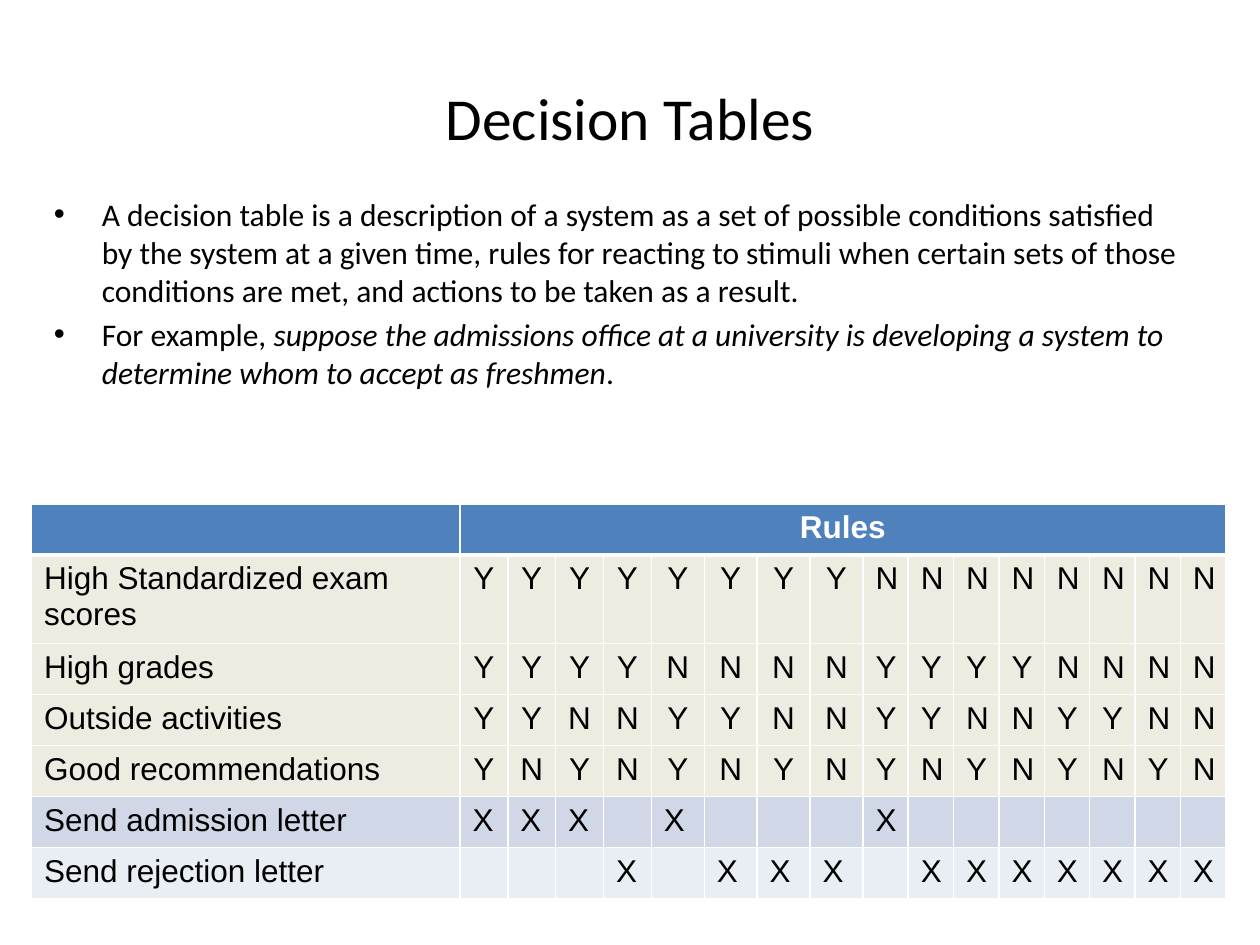
from itertools import product

from lxml import etree
from pptx import Presentation
from pptx.dml.color import RGBColor
from pptx.enum.text import MSO_ANCHOR, PP_ALIGN
from pptx.oxml.ns import qn
from pptx.util import Inches, Pt

CENTER, LEFT, MIDDLE = PP_ALIGN.CENTER, PP_ALIGN.LEFT, MSO_ANCHOR.MIDDLE
UNIT = Inches(0.1)
COLS, ROWS = 100, 75
WHITE, BLACK, BLUE, SAND = "FFFFFF", "000000", "4F81BD", "EEECE1"
TERMS = ["High Standardized exam scores", "High grades",
         "Outside activities", "Good recommendations"]
POINTS = [
    [("A decision table is a description of a system as a set of possible conditions "
      "satisfied by the system at a given time, rules for reacting to stimuli when "
      "certain sets of those conditions are met, and actions to be taken as a result.", False)],
    [("For example, ", False),
     ("suppose the admissions office at a university is developing a system to "
      "determine whom to accept as freshmen", True),
     (".", False)],
]


def paint(color):
    """Return the colour of a hex string."""
    return RGBColor.from_string(color)


def span(*sizes):
    """Turn grid units into lengths."""
    return [int(size * UNIT) for size in sizes]


def write(para, text, font="Calibri", size=18, color=BLACK, bold=False,
          italic=False, align=LEFT):
    """Add one formatted run to a paragraph."""
    para.alignment = align
    run = para.add_run()
    run.text = text
    style = run.font
    style.name, style.size, style.bold, style.italic = font, Pt(size), bold, italic
    style.color.rgb = paint(color)


def frame(slide, box):
    """Add a wrapping text box and return its text frame."""
    text = slide.shapes.add_textbox(*span(*box)).text_frame
    text.word_wrap = True
    return text


def title(slide, box):
    """Place the centred heading."""
    text = frame(slide, box)
    text.vertical_anchor = MIDDLE
    write(text.paragraphs[0], "Decision Tables", size=34, align=CENTER)


def bullets(slide, box):
    """Place the bulleted points."""
    text = frame(slide, box)
    for i, parts in enumerate(POINTS):
        para = text.add_paragraph() if i else text.paragraphs[0]
        para.space_before = Pt(3.6)
        for words, italic in parts:
            write(para, words, italic=italic)
        props = para._p.get_or_add_pPr()
        indent = Inches(0.38)
        props.set("marL", str(indent))
        props.set("indent", str(-indent))
        etree.SubElement(props, qn("a:buFont"), typeface="Arial")
        etree.SubElement(props, qn("a:buChar"), char="•")


def edge(cell, top, base):
    """Draw white borders around a cell."""
    props = cell._tc.get_or_add_tcPr()
    for side, width in zip("LRTB", (1, 1, top, base)):
        line = etree.SubElement(props, qn(f"a:ln{side}"), w=str(Pt(width)))
        fill = etree.SubElement(line, qn("a:solidFill"))
        etree.SubElement(fill, qn("a:srgbClr"), val=WHITE)


def grid():
    """List each row as its fill and cell texts."""
    rules = list(product("YN", repeat=len(TERMS)))
    admit = [rule.count("Y") >= 3 for rule in rules]
    rows = [(BLUE, ["", "Rules"] + [""] * (len(rules) - 1))]
    rows += [(SAND, [term, *marks]) for term, marks in zip(TERMS, zip(*rules))]
    rows.append(("D0D8E8", ["Send admission letter"] + ["X" if yes else "" for yes in admit]))
    rows.append(("E9EDF4", ["Send rejection letter"] + ["" if yes else "X" for yes in admit]))
    return rows


def matrix(slide, box):
    """Place the table of rules and actions."""
    rows = grid()
    widths = [34] + [3.8] * 4 + [4.2] * 4 + [3.6] * 8
    table = slide.shapes.add_table(len(rows), len(widths), *span(*box)).table
    for col, width in zip(table.columns, span(*widths)):
        col.width = width
    for row in table.rows:
        row.height = span(box[3] / len(rows))[0]
    for r, (fill, texts) in enumerate(rows):
        for c, text in enumerate(texts):
            cell = table.cell(r, c)
            edge(cell, 3 if r == 1 else 1, 3 if r == 0 else 1)
            cell.fill.solid()
            cell.fill.fore_color.rgb = paint(fill)
            if text:
                write(cell.text_frame.paragraphs[0], text, font="Arial", bold=r == 0,
                      color=BLACK if r else WHITE,
                      align=CENTER if text in ("Y", "N", "Rules") else LEFT)
    table.cell(0, 1).merge(table.cell(0, len(widths) - 1))


def main():
    """Build and save the slide."""
    deck = Presentation()
    deck.slide_width, deck.slide_height = span(COLS, ROWS)
    slide = deck.slides.add_slide(deck.slide_layouts[6])
    title(slide, (5, 3, 90, 12.5))
    bullets(slide, (3.3, 15, 92.1, 21.7))
    matrix(slide, (2.5, 40, 94.8, 28.4))
    deck.save("out.pptx")


if __name__ == "__main__":
    main()
